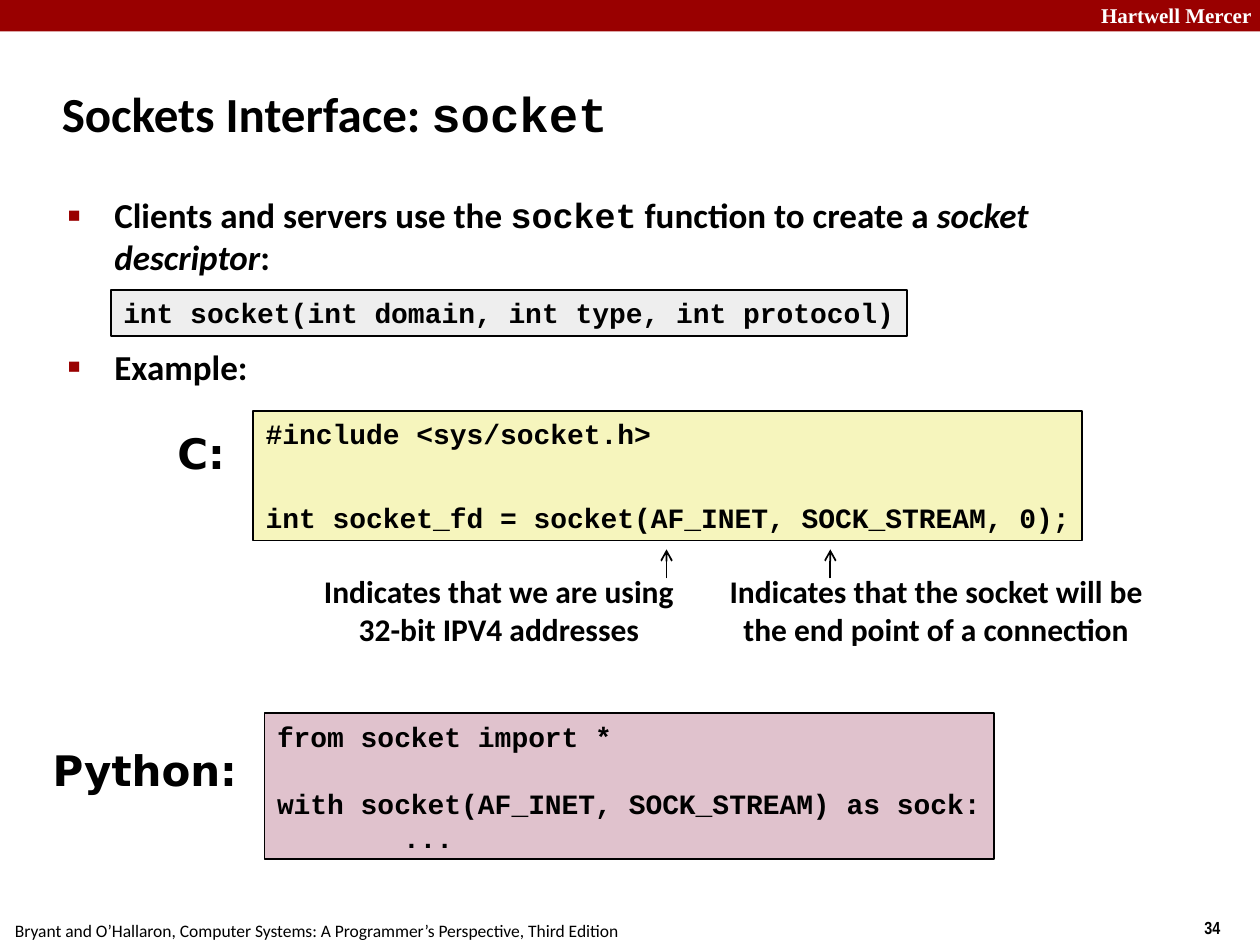
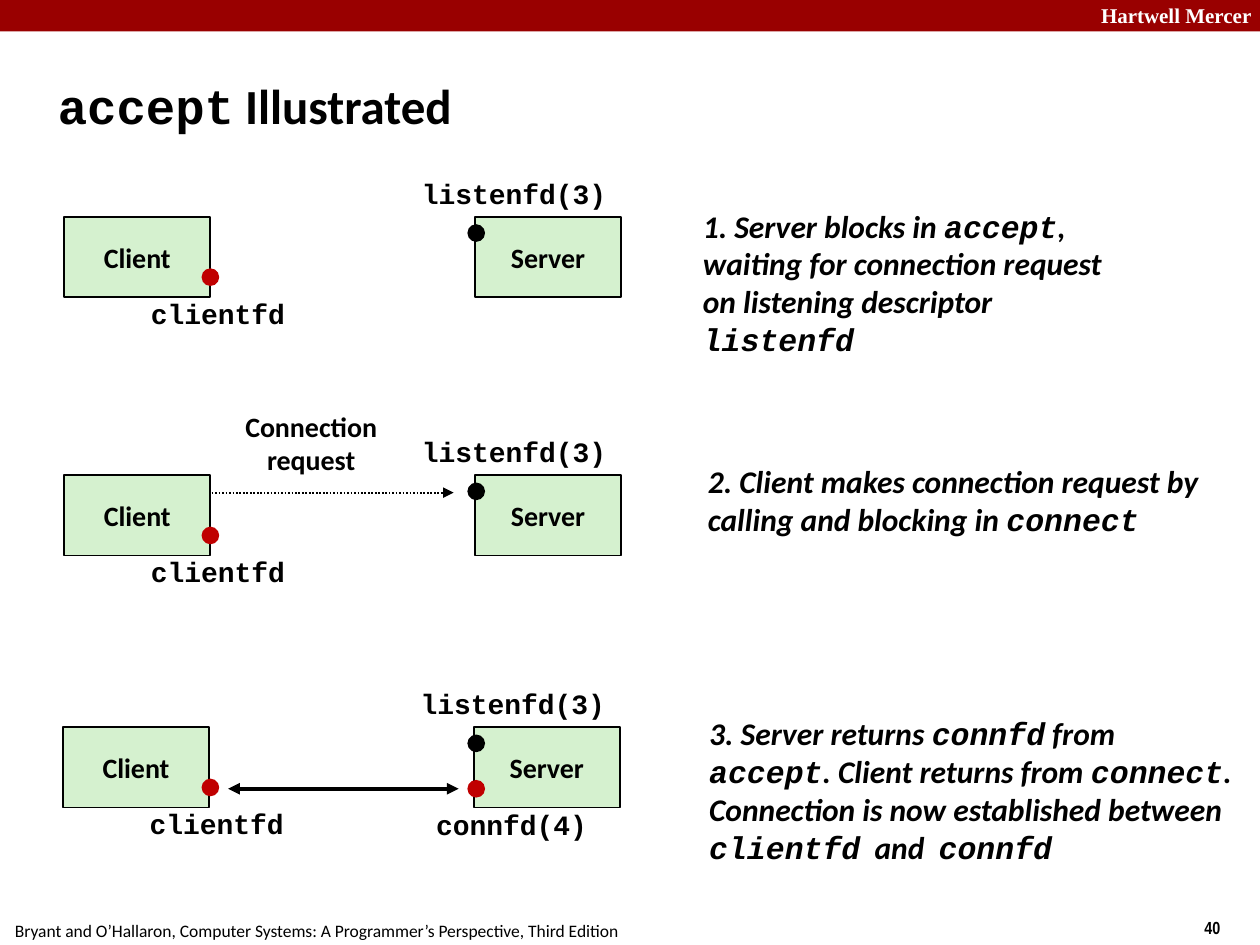
from dataclasses import dataclass
from typing import NamedTuple, Optional

import lxml.etree
import pptx
import pptx.dml.color
import pptx.enum.dml
import pptx.enum.shapes
import pptx.enum.text
import pptx.oxml.ns
import pptx.util

Inches = pptx.util.Inches
Pt = pptx.util.Pt
Align = pptx.enum.text.PP_ALIGN
Anchor = pptx.enum.text.MSO_ANCHOR
AutoSize = pptx.enum.text.MSO_AUTO_SIZE
Shape = pptx.enum.shapes.MSO_SHAPE
qn = pptx.oxml.ns.qn

# Shared look
BLACK, WHITE = "000000", "FFFFFF"
BAND_RED, DOT_RED = "990000", "C00000"
PROTOTYPE_GREY, C_YELLOW, PYTHON_PINK, HOST_GREEN = "EEEEEE", "F6F5BD", "E0C2CD", "D5F1CF"
SANS, MONO = "Calibri", "Courier New"
SCHOOL = "Hartwell Mercer"
BOOK = "Bryant and O’Hallaron, Computer Systems: A Programmer’s Perspective, Third Edition"


class Box(NamedTuple):
    left: float
    top: float
    width: float
    height: float


class Run(NamedTuple):
    text: str
    font: str = SANS
    italic: bool = False


@dataclass
class Para:
    runs: list[Run]
    before: float = 0
    indent: float = 0
    bullet: bool = False


@dataclass
class Style:
    size: float
    color: str = BLACK
    bold: bool = True
    align: Align = Align.LEFT
    anchor: Anchor = Anchor.TOP
    wrap: bool = True
    grow: bool = True
    left_inset: float = 0.1
    right_inset: float = 0.1


@dataclass
class Stage:
    """One step of the connection: a client and a server with their descriptors."""
    left: float
    top: float
    note_box: Box
    note: list[Run]


# Single-line texts keep a narrow inset, so that they fit their boxes with room to spare
CODE = Style(16, wrap=False, grow=False, right_inset=0.03)
LABEL = Style(16, align=Align.CENTER, anchor=Anchor.MIDDLE, wrap=False, grow=False,
              left_inset=0.03, right_inset=0.03)
NOTE = Style(18, anchor=Anchor.MIDDLE)
CAPTION = Style(18, align=Align.CENTER)


def rgb(color: str) -> pptx.dml.color.RGBColor:
    return pptx.dml.color.RGBColor.from_string(color)


def place(box: Box) -> list[int]:
    return [Inches(length) for length in box]


def line(text: str, font: str = SANS, **layout) -> Para:
    return Para([Run(text, font)], **layout)


def add_bullet(paragraph) -> None:
    props = paragraph._p.get_or_add_pPr()
    props.set("marL", str(Inches(0.38)))
    props.set("indent", str(-Inches(0.37)))
    color = lxml.etree.SubElement(props, qn("a:buClr"))
    lxml.etree.SubElement(color, qn("a:srgbClr"), val=BAND_RED)
    lxml.etree.SubElement(props, qn("a:buSzPct"), val="60000")
    lxml.etree.SubElement(props, qn("a:buFont"), typeface="Arial")
    lxml.etree.SubElement(props, qn("a:buChar"), char="■")


def write(shape, paras: list[Para], style: Style) -> None:
    frame = shape.text_frame
    frame.word_wrap = style.wrap
    frame.auto_size = AutoSize.SHAPE_TO_FIT_TEXT if style.grow else AutoSize.NONE
    frame.vertical_anchor = style.anchor
    frame.margin_left = Inches(style.left_inset)
    frame.margin_right = Inches(style.right_inset)
    frame.margin_top = frame.margin_bottom = Inches(0.05)
    for index, para in enumerate(paras):
        paragraph = frame.add_paragraph() if index else frame.paragraphs[0]
        paragraph.alignment = style.align
        paragraph.space_before = Pt(para.before)
        if para.indent:
            paragraph._p.get_or_add_pPr().set("marL", str(Inches(para.indent)))
        if para.bullet:
            add_bullet(paragraph)
        for part in para.runs:
            run = paragraph.add_run()
            run.text = part.text
            run.font.name = part.font
            run.font.size = Pt(style.size)
            run.font.bold = style.bold
            run.font.italic = part.italic
            run.font.color.rgb = rgb(style.color)


def add_text(slide, box: Box, paras: list[Para], style: Style) -> None:
    write(slide.shapes.add_textbox(*place(box)), paras, style)


def add_block(slide, box: Box, fill: str, outlined: bool = True,
              kind: Shape = Shape.RECTANGLE):
    block = slide.shapes.add_shape(kind, *place(box))
    block.shadow.inherit = False
    block.fill.solid()
    block.fill.fore_color.rgb = rgb(fill)
    if outlined:
        block.line.color.rgb = rgb(BLACK)
        block.line.width = Pt(1)
    else:
        block.line.fill.background()
    return block


def add_dot(slide, left: float, top: float, color: str) -> None:
    add_block(slide, Box(left, top, 0.14, 0.14), color, False, Shape.OVAL)


def add_arrow(slide, start: tuple[float, float], end: tuple[float, float],
              tail: str = "triangle", head: Optional[str] = None,
              width: float = 1, dotted: bool = False) -> None:
    arrow = slide.shapes.add_connector(
        pptx.enum.shapes.MSO_CONNECTOR.STRAIGHT, *place((*start, *end)))
    arrow.line.color.rgb = rgb(BLACK)
    arrow.line.width = Pt(width)
    if dotted:
        arrow.line.dash_style = pptx.enum.dml.MSO_LINE.ROUND_DOT
    outline = arrow.line._get_or_add_ln()
    if head:
        lxml.etree.SubElement(outline, qn("a:headEnd"), type=head)
    lxml.etree.SubElement(outline, qn("a:tailEnd"), type=tail)
    lxml.etree.SubElement(arrow._element.spPr, qn("a:effectLst"))


def add_page(deck, number: int, title_box: Box, title: list[Run]):
    """A slide with the band, the footers and its title."""
    slide = deck.slides.add_slide(deck.slide_layouts[5])
    add_block(slide, Box(0, 0, 10, 0.25), BAND_RED, outlined=False)
    add_text(slide, Box(8.64, -0.03, 1.43, 0.3), [line(SCHOOL, "Times New Roman")],
             Style(12, WHITE))
    add_text(slide, Box(9.46, 7.23, 0.75, 0.27), [line(str(number), "Arial Narrow")],
             Style(10, wrap=False))
    add_text(slide, Box(0.02, 7.25, 5.01, 0.27), [line(BOOK)],
             Style(10, bold=False, wrap=False))
    heading = slide.shapes.title
    heading.left, heading.top, heading.width, heading.height = place(title_box)
    write(heading, [Para(title)], Style(28, anchor=Anchor.MIDDLE, grow=False))
    return slide


def build_socket_slide(deck) -> None:
    slide = add_page(deck, 34, Box(0.39, 0.48, 8.3, 0.83),
                     [Run("Sockets Interface: "), Run("socket", MONO)])
    purpose = [Run("Clients and servers use the "), Run("socket", MONO),
               Run(" function to create a "),
               Run("socket descriptor", italic=True), Run(":")]
    add_text(slide, Box(0.43, 1.49, 8.64, 0.84),
             [Para(purpose, before=4.8, bullet=True),
              line("Example:", before=38.5, bullet=True)],
             Style(20, grow=False))

    # Prototype and the two code examples
    listings = [
        (Box(0.88, 2.3, 6.32, 0.37), PROTOTYPE_GREY,
         [line("int socket(int domain, int type, int protocol)", MONO)]),
        (Box(2.01, 3.26, 6.58, 1.03), C_YELLOW,
         [line("#include <sys/socket.h>", MONO),
          line("int socket_fd = socket(AF_INET, SOCK_STREAM, 0);", MONO, before=28.5)]),
        (Box(2.1, 5.66, 5.79, 1.16), PYTHON_PINK,
         [line("from socket import *", MONO),
          line("with socket(AF_INET, SOCK_STREAM) as sock:", MONO, before=19.5),
          line("...", MONO, indent=1)]),
    ]
    for box, fill, code in listings:
        write(add_block(slide, box, fill), code, CODE)
    for box, language in [(Box(1.31, 3.34, 0.6, 0.5), "C:"),
                          (Box(0.32, 5.86, 1.69, 0.5), "Python:")]:
        add_text(slide, box, [line(language, "DejaVu Sans")], Style(24))

    # What the arguments mean
    meanings = [
        (Box(2.42, 4.49, 3.08, 0.7), 5.29,
         "Indicates that we are using 32-bit IPV4 addresses"),
        (Box(5.62, 4.49, 3.62, 0.7), 6.59,
         "Indicates that the socket will be the end point of a connection"),
    ]
    for box, argument_x, meaning in meanings:
        add_text(slide, box, [line(meaning)], CAPTION)
        add_arrow(slide, (argument_x, 4.59), (argument_x, 4.36), tail="arrow")


def draw_stage(slide, stage: Stage) -> None:
    left, top = stage.left, stage.top
    for offset, host in [(0, "Client"), (3.26, "Server")]:
        block = add_block(slide, Box(left + offset, top, 1.16, 0.64), HOST_GREEN)
        write(block, [line(host)], LABEL)
    add_text(slide, Box(left + 2.74, top - 0.37, 1.66, 0.37),
             [line("listenfd(3)", MONO)], LABEL)
    add_text(slide, Box(left + 0.59, top + 0.58, 1.26, 0.37),
             [line("clientfd", MONO)], LABEL)
    add_text(slide, stage.note_box, [Para(stage.note)], NOTE)
    add_dot(slide, 1.6, top + 0.41, DOT_RED)
    add_dot(slide, 3.71, top + 0.06, BLACK)


def build_accept_slide(deck) -> None:
    slide = add_page(deck, 40, Box(0.36, 0.52, 9.17, 0.63),
                     [Run("accept", MONO), Run(" Illustrated")])

    def say(text: str) -> Run:
        return Run(text, SANS, True)

    def name(text: str) -> Run:
        return Run(text, MONO, True)

    stages = [
        Stage(0.51, 1.72, Box(5.48, 1.59, 3.6, 1.3),
              [say("1. Server blocks in "), name("accept"),
               say(", waiting for connection request on listening descriptor "),
               name("listenfd")]),
        Stage(0.51, 3.77, Box(5.52, 3.62, 4.23, 0.7),
              [say("2. Client makes connection request by calling and blocking in "),
               name("connect")]),
        Stage(0.5, 5.77, Box(5.53, 5.62, 4.39, 1.3),
              [say("3. Server returns "), name("connfd"), say(" from "), name("accept"),
               say(". Client returns from "), name("connect"),
               say(". Connection is now established between "), name("clientfd"),
               say("  and  "), name("connfd")]),
    ]
    for stage in stages:
        draw_stage(slide, stage)

    # Request on its way
    add_text(slide, Box(1.85, 3.2, 1.24, 0.63),
             [line("Connection"), line("request")], LABEL)
    add_arrow(slide, (1.68, 3.91), (3.6, 3.91), dotted=True)

    # Established connection
    add_dot(slide, 3.71, 6.19, DOT_RED)
    add_text(slide, Box(3.36, 6.36, 1.4, 0.37), [line("connfd(4)", MONO)], LABEL)
    add_arrow(slide, (1.81, 6.26), (3.64, 6.26), head="triangle", width=2.25)


def main() -> None:
    deck = pptx.Presentation()
    deck.slide_width, deck.slide_height = Inches(10), Inches(7.5)
    build_socket_slide(deck)
    build_accept_slide(deck)
    deck.save("out.pptx")


main()
